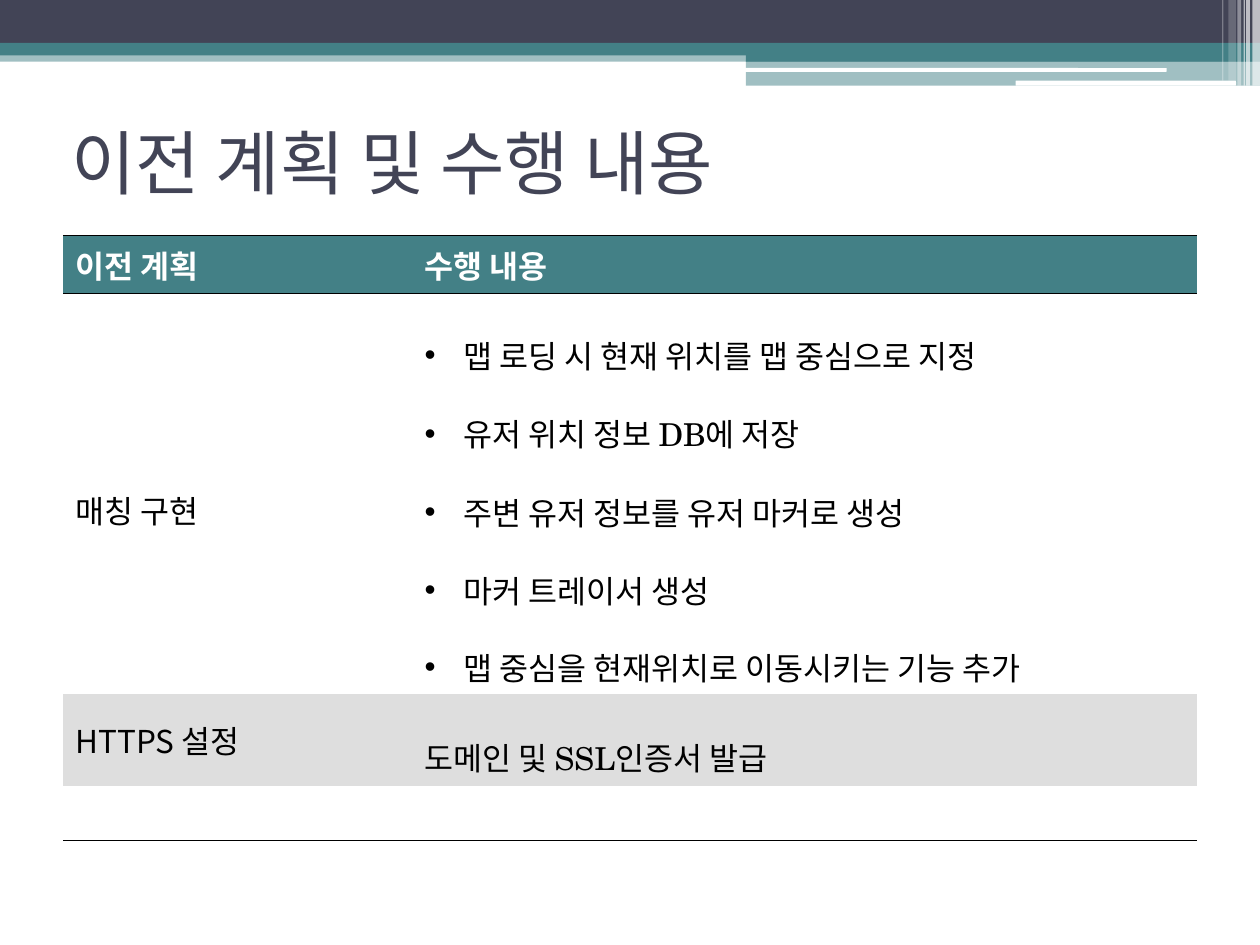
"""Build a slide with a banner, a title and a table of plans and results."""
from lxml import etree
from pptx import Presentation
from pptx.dml.color import RGBColor
from pptx.enum.shapes import MSO_SHAPE
from pptx.enum.text import MSO_ANCHOR
from pptx.oxml.ns import qn
from pptx.util import Inches, Pt

RECT, ROUND = MSO_SHAPE.RECTANGLE, MSO_SHAPE.ROUNDED_RECTANGLE
TOP, MID = MSO_ANCHOR.TOP, MSO_ANCHOR.MIDDLE
NAVY = RGBColor(0x42, 0x44, 0x56)
TEAL = RGBColor(0x43, 0x80, 0x86)
GREY = RGBColor(0xDE, 0xDE, 0xDE)
WHITE = RGBColor(0xFF, 0xFF, 0xFF)
BLACK = RGBColor(0, 0, 0)
SANS, SERIF, HEAD = "Noto Sans CJK KR", "TeX Gyre Schola", "Karla"

TITLE = "이전 계획 및 수행 내용"
BARS = [
    (RECT, 0, 0.4, 10, 0.09, TEAL, 50),
    (RECT, 0, 0, 10, 0.34, NAVY, 100),
    (RECT, 0, 0.34, 10, 0.1, TEAL, 100),
    (RECT, 5.92, 0.39, 4.08, 0.1, TEAL, 100),
    (RECT, 5.92, 0.48, 4.08, 0.2, TEAL, 50),
    (ROUND, 5.91, 0.54, 3.35, 0.03, WHITE, 100),
    (ROUND, 8.06, 0.64, 1.75, 0.04, WHITE, 100),
]
STRIPES = [
    (9.94, 0.06, 0.68, 65), (9.89, 0.03, 0.68, 65), (9.87, 0.01, 0.68, 60),
    (9.82, 0.03, 0.68, 40), (9.75, 0.06, 0.64, 20), (9.7, 0.01, 0.64, 30),
]
BARS += [(RECT, x, 0, w, h, WHITE, a) for x, w, h, a in STRIPES]

TASKS = [
    "맵 로딩 시 현재 위치를 맵 중심으로 지정",
    "유저 위치 정보 DB에 저장",
    "주변 유저 정보를 유저 마커로 생성",
    "마커 트레이서 생성",
    "맵 중심을 현재위치로 이동시키는 기능 추가",
]
COLS = [2.77, 6.23]
EDGE, THIN = (BLACK, 0.96), (GREY, 0.45)
ROWS = [
    dict(high=0.46, fill=TEAL, ink=WHITE, bold=True, anchor=TOP, top=EDGE, base=EDGE,
         cells=[(["이전 계획"], SANS, 1), (["수행 내용"], SANS, 1)]),
    dict(high=3.18, fill=WHITE, ink=BLACK, bold=False, anchor=MID, top=EDGE, base=THIN,
         cells=[(["매칭 구현"], SANS, 1.7), (TASKS, SERIF, 1.7)]),
    dict(high=0.72, fill=GREY, ink=BLACK, bold=False, anchor=MID, top=THIN, base=THIN,
         cells=[(["HTTPS 설정"], SANS, 1), (["도메인 및 SSL인증서 발급"], SERIF, 1.7)]),
    dict(high=0.44, fill=None, ink=BLACK, bold=False, anchor=TOP, top=THIN, base=(BLACK, 0.45),
         cells=[([""], SANS, 1), ([""], SANS, 1)]),
]


def add(node, tag, **attrs):
    return etree.SubElement(node, qn(tag), attrs)


def draw_bar(slide, kind, x, y, w, h, color, alpha):
    bar = slide.shapes.add_shape(kind, Inches(x), Inches(y), Inches(w), Inches(h))
    bar.shadow.inherit = False
    bar.line.fill.background()
    bar.fill.solid()
    bar.fill.fore_color.rgb = color
    if alpha < 100:
        tint = bar.fill._xPr.find(".//" + qn("a:srgbClr"))
        add(tint, "a:alpha", val=str(alpha * 1000))


def style(font, name, size, color, bold=False):
    font.name, font.size, font.bold = name, Pt(size), bold
    font.color.rgb = color


def write(para, text, name, size, color, bold=False):
    run = para.add_run()
    run.text = text
    style(run.font, name, size, color, bold)
    add(run.font._element, "a:ea", typeface=SANS)


def add_bullet(para):
    props = para._p.get_or_add_pPr()
    props.set("marL", str(Inches(0.31)))
    props.set("indent", str(-Inches(0.31)))
    add(add(props, "a:buClr"), "a:srgbClr", val=str(BLACK))
    add(props, "a:buFont", typeface="Arial")
    add(props, "a:buChar", char="•")


def add_rules(cell, top, base):
    props = cell._tc.get_or_add_tcPr()
    sides = [("a:lnL", None), ("a:lnR", None), ("a:lnT", top), ("a:lnB", base)]
    for side, rule in sides:
        line = add(props, side)
        if rule:
            color, width = rule
            line.set("w", str(Pt(width)))
            add(add(line, "a:solidFill"), "a:srgbClr", val=str(color))
        else:
            add(line, "a:noFill")


def fill_cell(cell, row, lines, name, space):
    add_rules(cell, row["top"], row["base"])
    if row["fill"] is None:
        cell.fill.background()
    else:
        cell.fill.solid()
        cell.fill.fore_color.rgb = row["fill"]
    cell.vertical_anchor = row["anchor"]
    frame = cell.text_frame
    for i, text in enumerate(lines):
        para = frame.add_paragraph() if i else frame.paragraphs[0]
        para.line_spacing = space
        if len(lines) > 1:
            add_bullet(para)
        if text:
            write(para, text, name, 18, row["ink"], row["bold"])
        else:
            style(para.font, name, 18, row["ink"])


def main():
    deck = Presentation()
    deck.slide_width, deck.slide_height = Inches(10), Inches(7.5)
    slide = deck.slides.add_slide(deck.slide_layouts[6])
    for bar in BARS:
        draw_bar(slide, *bar)

    box = slide.shapes.add_textbox(Inches(0.47), Inches(0.7), Inches(9), Inches(1.17))
    frame = box.text_frame
    frame.word_wrap = True
    frame.vertical_anchor = MID
    write(frame.paragraphs[0], TITLE, HEAD, 40, NAVY)

    high = sum(row["high"] for row in ROWS)
    table = slide.shapes.add_table(len(ROWS), len(COLS), Inches(0.5), Inches(1.87),
                                   Inches(sum(COLS)), Inches(high)).table
    table.first_row = table.horz_banding = False
    for col, wide in zip(table.columns, COLS):
        col.width = Inches(wide)
    for r, row in enumerate(ROWS):
        table.rows[r].height = Inches(row["high"])
        for c, (lines, name, space) in enumerate(row["cells"]):
            fill_cell(table.cell(r, c), row, lines, name, space)
    deck.save("out.pptx")


if __name__ == "__main__":
    main()
